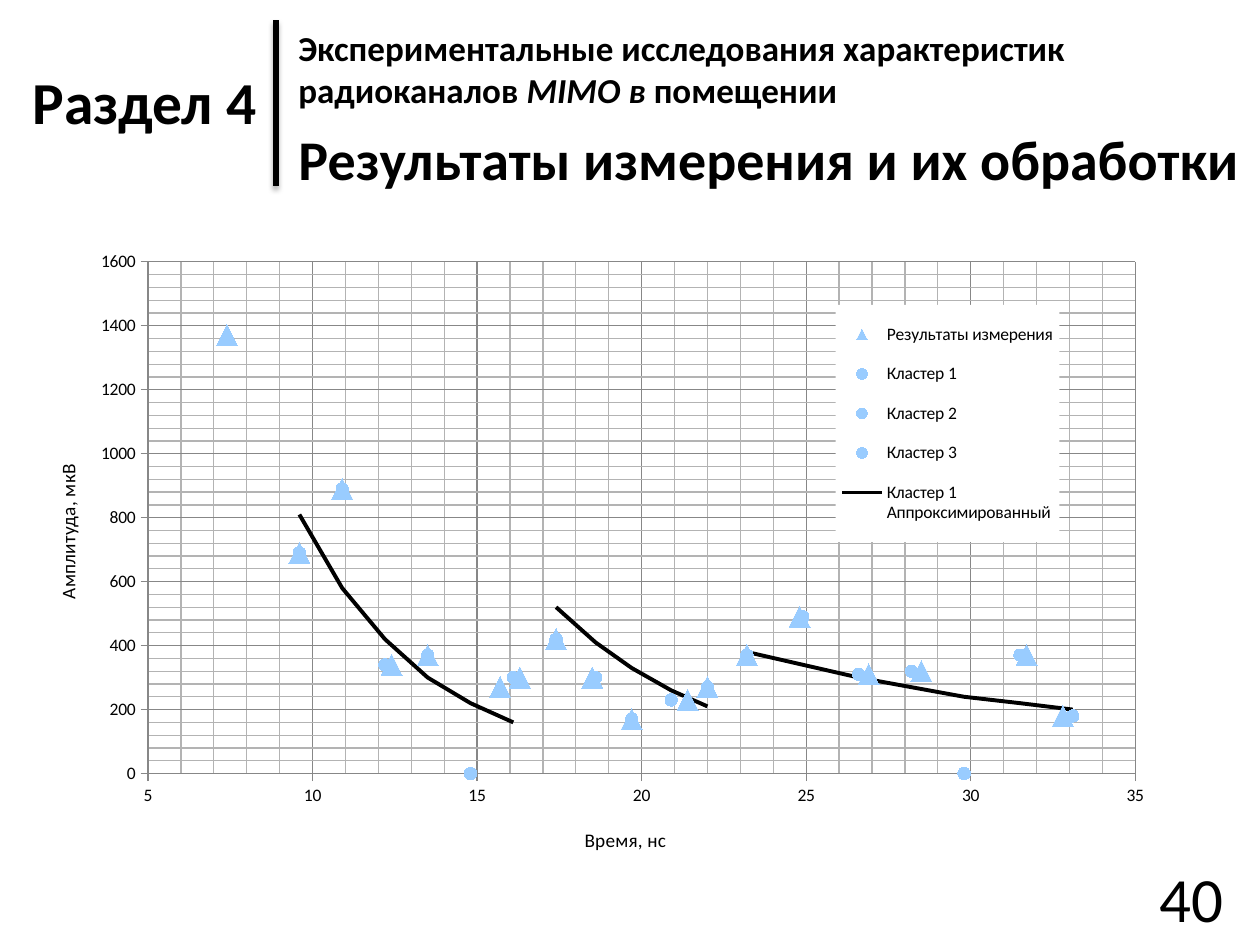
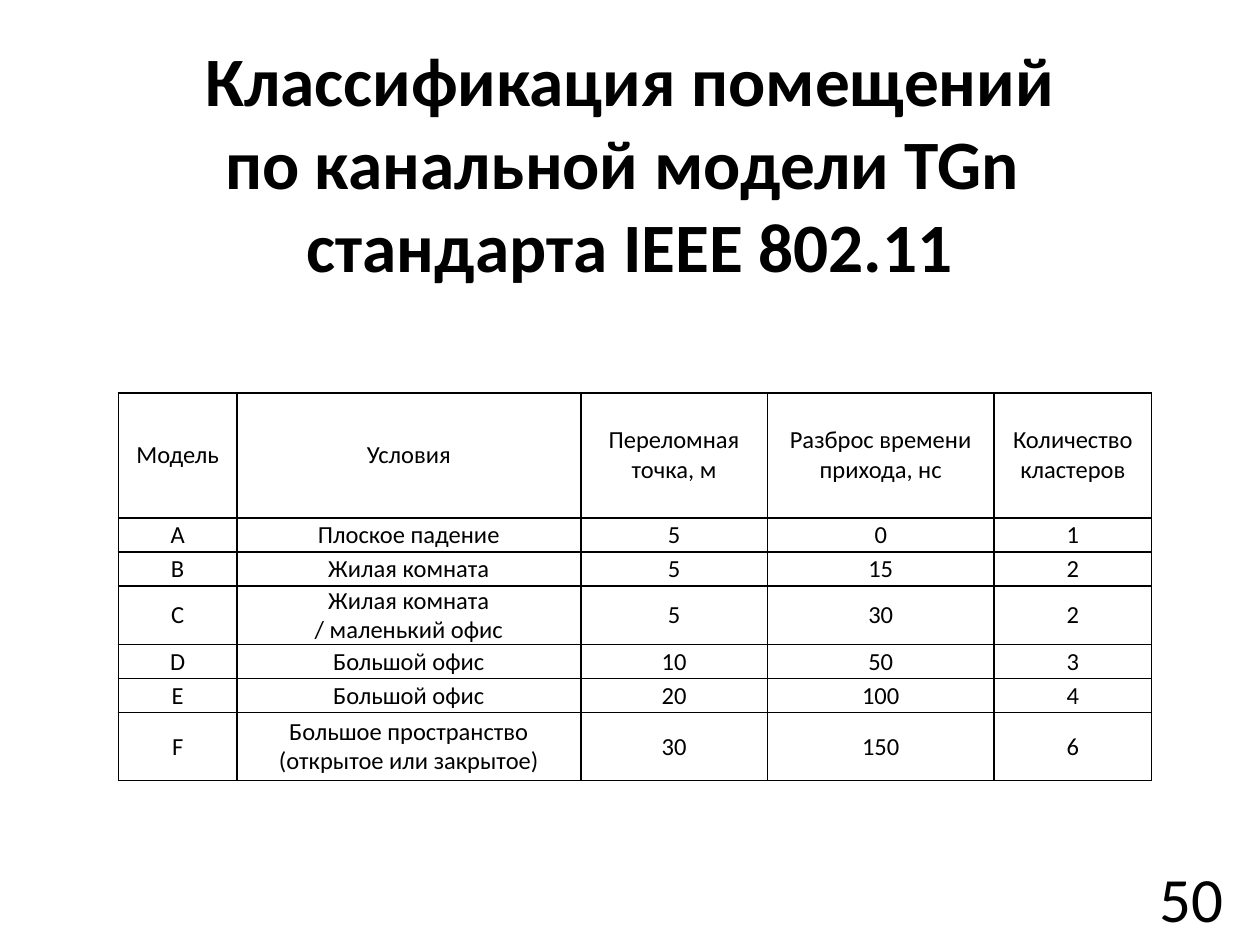
import pptx
import pptx.chart.data
import pptx.dml.color
import pptx.enum.chart
import pptx.enum.shapes
import pptx.enum.text
import pptx.oxml
import pptx.util

Inches, Pt = pptx.util.Inches, pptx.util.Pt
RGB = pptx.dml.color.RGBColor.from_string
ALIGN = pptx.enum.text.PP_ALIGN
ANCHOR = pptx.enum.text.MSO_ANCHOR
MARKER = pptx.enum.chart.XL_MARKER_STYLE

FONT = "Calibri"
COLORS = {"text": "000000", "paper": "FFFFFF", "marker": "99CCFF",
          "grid": "878787", "minor": "B3B3B3"}
A_NS = 'xmlns:a="http://schemas.openxmlformats.org/drawingml/2006/main"'
C_NS = 'xmlns:c="http://schemas.openxmlformats.org/drawingml/2006/chart"'


def add_text(s, box, runs, size, bold=False, align=ALIGN.LEFT, anchor=ANCHOR.MIDDLE):
    """Add a one-paragraph text box; runs are (text, italic) pairs."""
    tf = s.shapes.add_textbox(*map(Inches, box)).text_frame
    tf.word_wrap = True
    tf.vertical_anchor = anchor
    p = tf.paragraphs[0]
    for text, italic in runs:
        r = p.add_run()
        r.text = text
        r.font.italic = italic or None
    p.alignment = align
    p.font.name, p.font.size, p.font.bold = FONT, Pt(size), bold
    p.font.color.rgb = RGB(COLORS["text"])
    return p


def set_layout(element, target, **place):
    """Place a chart part by fractions of the chart area."""
    for old in element.xpath("c:layout"):
        element.remove(old)
    inner = f'<c:layoutTarget val="{target}"/>' if target else ""
    modes = '<c:xMode val="edge"/><c:yMode val="edge"/>'
    values = "".join(f'<c:{k} val="{v}"/>' for k, v in place.items())
    layout = pptx.oxml.parse_xml(f"<c:layout {C_NS}><c:manualLayout>{inner}{modes}{values}"
                                 "</c:manualLayout></c:layout>")
    overlay = element.xpath("c:overlay")
    if overlay:
        overlay[0].addprevious(layout)
    else:
        element.insert(0, layout)


prs = pptx.Presentation()
prs.slide_width, prs.slide_height = Inches(10), Inches(7.5)
slides = []
for number in ("40", "50"):
    s = prs.slides.add_slide(prs.slide_layouts[6])
    add_text(s, (8.67, 6.88, 1.14, 0.48), [(number, False)], 36, align=ALIGN.RIGHT)
    slides.append(s)
results, rooms = slides

# Section header
add_text(results, (2.27, 0.23, 7.73, 0.62),
         [("Экспериментальные исследования характеристик радиоканалов ", False),
          ("MIMO в", True), (" помещении", False)], 20, bold=True)
add_text(results, (0.16, 0.47, 2.19, 0.67), [("Раздел 4", False)], 34, bold=True,
         anchor=ANCHOR.TOP)
add_text(results, (2.27, 1.02, 7.73, 0.47),
         [("Результаты измерения и их обработки", False)], 32, bold=True)
divider = results.shapes.add_connector(pptx.enum.shapes.MSO_CONNECTOR.STRAIGHT,
                                       Inches(2.19), Inches(0.16), Inches(2.19), Inches(1.48))
divider.line.color.rgb = RGB(COLORS["text"])
divider.line.width = Pt(3)
divider._element.spPr.append(pptx.oxml.parse_xml(
    f'<a:effectLst {A_NS}><a:outerShdw blurRad="{Pt(3.1)}" dist="{Pt(1.8)}" dir="5400000" '
    f'rotWithShape="0"><a:srgbClr val="{COLORS["text"]}"><a:alpha val="35000"/></a:srgbClr>'
    '</a:outerShdw></a:effectLst>'))

# Chart data: name, times, amplitudes, marker style, marker size
times = [[9.6, 10.9, 12.2, 13.5, 14.8, 16.1],
         [17.4, 18.6, 19.7, 20.9, 22],
         [23.2, 24.9, 26.6, 28.2, 29.8, 31.5, 33.1]]
series = [
    ("Результаты измерения",
     [7.4, 9.6, 10.9, 12.4, 13.5, 15.7, 16.3, 17.4, 18.5,
      19.7, 21.4, 22, 23.2, 24.8, 26.9, 28.5, 31.7, 32.8],
     [1370, 690, 890, 340, 370, 270, 300, 420, 300,
      170, 230, 270, 370, 490, 310, 320, 370, 180], MARKER.TRIANGLE, 12),
    ("Кластер 1", times[0], [690, 890, 340, 370, 0, 300], MARKER.CIRCLE, 7),
    ("Кластер 2", times[1], [420, 300, 170, 230, 270], MARKER.CIRCLE, 7),
    ("Кластер 3", times[2], [370, 490, 310, 320, 0, 370, 180], MARKER.CIRCLE, 7),
    ("Кластер 1 Аппроксимированный", times[0], [810, 580, 420, 300, 220, 160], None, None),
    ("Series 6", times[1], [520, 410, 330, 260, 210], None, None),
    ("Series 7", times[2], [380, 340, 300, 270, 240, 220, 200], None, None),
]
data = pptx.chart.data.XyChartData()
for name, xs, ys, *_ in series:
    points = data.add_series(name)
    for x, y in zip(xs, ys):
        points.add_data_point(x, y)
chart = results.shapes.add_chart(pptx.enum.chart.XL_CHART_TYPE.XY_SCATTER, Inches(0),
                                 Inches(1.87), Inches(9.71), Inches(4.96), data).chart
chart.has_title = False
chart.font.name, chart.font.size = FONT, Pt(10)
chart.font.color.rgb = RGB(COLORS["text"])
chart.plots[0].vary_by_categories = False

# Series: measured points as markers, fitted curves as lines
for ser, (_, _, _, style, size) in zip(chart.plots[0].series, series):
    ser.smooth = False
    if style is None:
        ser.marker.style = MARKER.NONE
        ser.format.line.color.rgb = RGB(COLORS["text"])
        ser.format.line.width = Pt(2.25)
    else:
        ser.format.line.fill.background()
        ser.marker.style, ser.marker.size = style, size
        ser.marker.format.fill.solid()
        ser.marker.format.fill.fore_color.rgb = RGB(COLORS["marker"])
        ser.marker.format.line.fill.background()

# Axes
for axis, title, low, high, major, minor in (
        (chart.category_axis, "Время, нс", 5, 35, 5, 1),
        (chart.value_axis, "Амплитуда, мкВ", 0, 1600, 200, 40)):
    axis.minimum_scale, axis.maximum_scale = low, high
    axis.major_unit, axis.minor_unit = major, minor
    axis.major_tick_mark = pptx.enum.chart.XL_TICK_MARK.OUTSIDE
    axis.minor_tick_mark = pptx.enum.chart.XL_TICK_MARK.NONE
    axis.tick_labels.number_format = "General"
    axis.tick_labels.number_format_is_linked = False
    axis.has_major_gridlines = axis.has_minor_gridlines = True
    for line in (axis.format.line, axis.major_gridlines.format.line):
        line.color.rgb = RGB(COLORS["grid"])
        line.width = Pt(0.75)
    axis._element.xpath("c:minorGridlines")[0].append(pptx.oxml.parse_xml(
        f'<c:spPr {C_NS} {A_NS}><a:ln w="{Pt(0.75)}"><a:solidFill>'
        f'<a:srgbClr val="{COLORS["minor"]}"/></a:solidFill></a:ln></c:spPr>'))
    p = axis.axis_title.text_frame.paragraphs[0]
    p.text = title
    p.font.name, p.font.size, p.font.bold = FONT, Pt(11), False
    p.font.color.rgb = RGB(COLORS["text"])

# Legend without the last two curves, and places of the chart parts
chart.has_legend = True
chart.legend.position = pptx.enum.chart.XL_LEGEND_POSITION.RIGHT
chart.legend.include_in_layout = False
chart.legend.font.name, chart.legend.font.size = FONT, Pt(10)
chart.legend.font.color.rgb = RGB(COLORS["text"])
plot_area = chart._chartSpace.xpath("c:chart/c:plotArea")[0]
legend = chart._chartSpace.xpath("c:chart/c:legend")[0]
x_title, y_title = plot_area.xpath("c:valAx/c:title")
set_layout(plot_area, "inner", x=0.121, y=0.042, w=0.807, h=0.819)
set_layout(legend, None, x=0.683, y=0.111, w=0.183, h=0.379)
set_layout(x_title, None, x=0.475, y=0.94)
set_layout(y_title, None, x=0.042, y=0.36)
for hidden in (6, 5):
    legend.xpath("c:legendPos")[0].addnext(pptx.oxml.parse_xml(
        f'<c:legendEntry {C_NS}><c:idx val="{hidden}"/><c:delete val="1"/></c:legendEntry>'))
white = (f'<c:spPr {C_NS} {A_NS}><a:solidFill><a:srgbClr val="{COLORS["paper"]}"/>'
         '</a:solidFill><a:ln><a:noFill/></a:ln></c:spPr>')
plot_area.append(pptx.oxml.parse_xml(white))
legend.xpath("c:overlay")[0].addnext(pptx.oxml.parse_xml(white))

# Room classification: title
p = add_text(rooms, (0, 0.3, 10, 1.97), [], 39.6, bold=True, align=ALIGN.CENTER)
p.text = "Классификация помещений\vпо канальной модели TGn \vстандарта IEEE 802.11"

# Room classification: table
rows = [
    ("Модель", "Условия", "Переломная точка, м", "Разброс времени прихода, нс",
     "Количество кластеров"),
    ("A", "Плоское падение", "5", "0", "1"),
    ("B", "Жилая комната", "5", "15", "2"),
    ("C", "Жилая комната\n/ маленький офис", "5", "30", "2"),
    ("D", "Большой офис", "10", "50", "3"),
    ("E", "Большой офис", "20", "100", "4"),
    ("F", "Большое пространство (открытое или закрытое)", "30", "150", "6"),
]
widths = [0.94, 2.73, 1.48, 1.8, 1.25]
heights = [0.99] + [0.27] * 5 + [0.54]
table = rooms.shapes.add_table(len(rows), len(widths), Inches(0.94), Inches(3.12),
                               Inches(sum(widths)), Inches(sum(heights))).table
table.first_row = table.horz_banding = False
for column, width in zip(table.columns, widths):
    column.width = Inches(width)
for row, height, texts in zip(table.rows, heights, rows):
    row.height = Inches(height)
    for cell, text in zip(row.cells, texts):
        cell.text = text
        cell.vertical_anchor = ANCHOR.MIDDLE
        cell.margin_left = cell.margin_right = Inches(0.07)
        cell.margin_top = cell.margin_bottom = 0
        for p in cell.text_frame.paragraphs:
            p.alignment = ALIGN.CENTER
            p.font.name, p.font.size = FONT, Pt(14)
            p.font.color.rgb = RGB(COLORS["text"])
        tc_pr = cell._tc.get_or_add_tcPr()
        for side in ("lnL", "lnR", "lnT", "lnB"):
            tc_pr.append(pptx.oxml.parse_xml(
                f'<a:{side} {A_NS} w="{Pt(1)}"><a:solidFill>'
                f'<a:srgbClr val="{COLORS["text"]}"/></a:solidFill></a:{side}>'))
        cell.fill.background()

prs.save("out.pptx")
